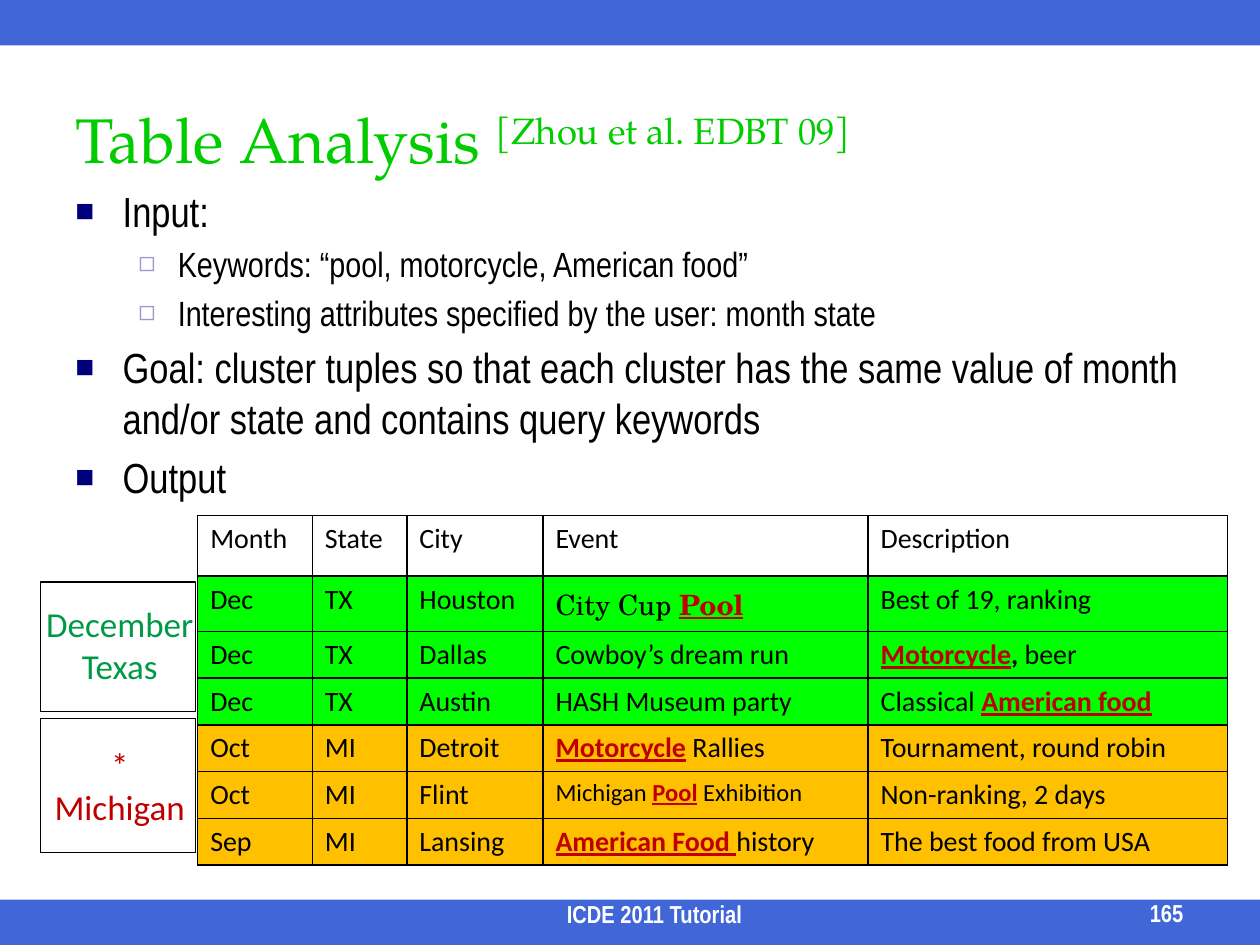
import pptx
import pptx.util
import pptx.dml.color
import pptx.enum.shapes
import pptx.enum.text
import pptx.oxml
import pptx.oxml.ns

Pt = pptx.util.Pt
ALIGN = pptx.enum.text.PP_ALIGN
ANCHOR = pptx.enum.text.MSO_ANCHOR
RECT = pptx.enum.shapes.MSO_SHAPE.RECTANGLE
qn = pptx.oxml.ns.qn
NS = pptx.oxml.ns.nsdecls("a")

# Content
HUES = {"bar": "0033CC", "title": "00CC00", "ink": "000000", "paper": "FFFFFF",
        "navy": "00007D", "lilac": "9999CC", "lime": "00FF00",
        "gold": "FFC000", "red": "C00000", "green": "009A46"}
KEY = {"hue": "red", "bold": True, "under": True}
SERIF = {"font": "TeX Gyre Schola"}
SMALL = {"size": 14}

TITLE = [("Table Analysis ", {}), ("[Zhou et al. EDBT 09]", {"rise": 30})]
POINTS = [
    (0, "Input:"),
    (1, "Keywords: “pool, motorcycle, American food”"),
    (1, "Interesting attributes specified by the user: month state"),
    (0, "Goal: cluster tuples so that each cluster has the same value of month "
        "and/or state and contains query keywords"),
    (0, "Output"),
]
# level: size, left margin, hanging indent, mark, mark colour, mark percent
LEVELS = [(24, 27, 27, "■", "navy", 75), (20, 58.5, 22.5, "◻", "lilac", 80)]

ROWS = [
    (None, ["Month", "State", "City", "Event", "Description"]),
    ("lime", ["Dec", "TX", "Houston",
              [("City Cup ", SERIF), ("Pool", {**SERIF, **KEY})],
              "Best of 19, ranking"]),
    ("lime", ["Dec", "TX", "Dallas", "Cowboy’s dream run",
              [("Motorcycle", KEY), (",", {"bold": True}), (" beer", {})]]),
    ("lime", ["Dec", "TX", "Austin", "HASH Museum party",
              [("Classical ", {}), ("American food", KEY)]]),
    ("gold", ["Oct", "MI", "Detroit",
              [("Motorcycle", KEY), (" ", {"bold": True}), ("Rallies", {})],
              "Tournament, round robin"]),
    ("gold", ["Oct", "MI", "Flint",
              [("Michigan ", SMALL), ("Pool", {**SMALL, **KEY}),
               (" Exhibition", SMALL)],
              "Non-ranking, 2 days"]),
    ("gold", ["Sep", "MI", "Lansing",
              [("American Food ", KEY), ("history", {})],
              "The best food from USA"]),
]
WIDTHS = [65.5, 54, 77.8, 185.8, 205.5]
HEIGHTS = [34.6, 31.7] + [26.7] * 5

# Frame top, frame height, text top, lines, colour
GROUPS = [
    (332.6, 74.2, 340.6, ["December Texas"], "green"),
    (410.4, 77, 421.2, ["*", "Michigan"], "red"),
]


def paint(hue):
    return pptx.dml.color.RGBColor.from_string(HUES[hue])


def write(para, text, **base):
    """Fill a paragraph from a string or a list of (text, format) runs."""
    runs = [(text, {})] if isinstance(text, str) else text
    para.alignment = base.get("align", ALIGN.LEFT)
    for words, extra in runs:
        look = {**base, **extra}
        run = para.add_run()
        run.text = words
        font = run.font
        font.name = look.get("font", "Calibri")
        font.size = Pt(look["size"])
        font.bold = look.get("bold", False)
        font.underline = look.get("under", False)
        font.color.rgb = paint(look.get("hue", "ink"))
        if "rise" in look:
            font._element.set("baseline", str(look["rise"] * 1000))


def bullet(para, left, hang, mark, hue, scale):
    props = para._p.get_or_add_pPr()
    props.set("marL", str(Pt(left)))
    props.set("indent", str(-Pt(hang)))
    for tag in (f'<a:buClr {NS}><a:srgbClr val="{HUES[hue]}"/></a:buClr>',
                f'<a:buSzPct {NS} val="{scale * 1000}"/>',
                f'<a:buFont {NS} typeface="Arial"/>',
                f'<a:buChar {NS} char="{mark}"/>'):
        props.append(pptx.oxml.parse_xml(tag))


def textbox(slide, box, lines, anchor=ANCHOR.TOP, **look):
    frame = slide.shapes.add_textbox(*map(Pt, box)).text_frame
    frame.word_wrap = True
    frame.vertical_anchor = anchor
    for i, line in enumerate(lines):
        para = frame.add_paragraph() if i else frame.paragraphs[0]
        write(para, line, **look)
    return frame


def rect(slide, box):
    shape = slide.shapes.add_shape(RECT, *map(Pt, box))
    shape.shadow.inherit = False
    return shape


def border(cell):
    props = cell._tc.get_or_add_tcPr()
    for i, side in enumerate(("lnL", "lnR", "lnT", "lnB")):
        props.insert(i, pptx.oxml.parse_xml(
            f'<a:{side} {NS} w="{Pt(1)}"><a:solidFill><a:srgbClr '
            f'val="{HUES["ink"]}"/></a:solidFill></a:{side}>'))


deck = pptx.Presentation()
deck.slide_width, deck.slide_height = Pt(720), Pt(540)
slide = deck.slides.add_slide(deck.slide_layouts[6])

# Top and bottom bars
for top in (514, 0):
    bar = rect(slide, (0, top, 720, 26))
    bar.line.fill.background()
    bar.fill.solid()
    bar.fill.fore_color.rgb = paint("bar")
    tint = bar._element.spPr.find(".//" + qn("a:srgbClr"))
    tint.append(pptx.oxml.parse_xml(f'<a:alpha {NS} val="75000"/>'))

# Title
textbox(slide, (36, 36, 648, 86.4), [TITLE], ANCHOR.MIDDLE,
        font="TeX Gyre Pagella", size=36, hue="title")

# Bulleted points
body = textbox(slide, (36, 102.2, 666, 356.4), [])
for i, (level, text) in enumerate(POINTS):
    para = body.add_paragraph() if i else body.paragraphs[0]
    size, *mark = LEVELS[level]
    para.level = level
    para.space_before = Pt(size * 0.2 if i else 0)
    bullet(para, *mark)
    write(para, text, font="Arial Narrow", size=size)

# Footer and page number
for box, text, align in (((167, 517, 414, 17.3), "ICDE 2011 Tutorial", ALIGN.CENTER),
                         ((592.6, 516.2, 90.7, 17.3), "165", ALIGN.RIGHT)):
    textbox(slide, box, [text], ANCHOR.BOTTOM, font="Arial Narrow", size=14,
            bold=True, hue="paper", align=align)

# Table of events
table = slide.shapes.add_table(len(ROWS), len(WIDTHS), Pt(113), Pt(294.6),
                               Pt(sum(WIDTHS)), Pt(sum(HEIGHTS))).table
table.first_row = table.horz_banding = False
for col, width in zip(table.columns, WIDTHS):
    col.width = Pt(width)
for r, (fill, texts) in enumerate(ROWS):
    table.rows[r].height = Pt(HEIGHTS[r])
    for c, text in enumerate(texts):
        cell = table.cell(r, c)
        if fill:
            cell.fill.solid()
            cell.fill.fore_color.rgb = paint(fill)
        else:
            cell.fill.background()
        border(cell)
        write(cell.text_frame.paragraphs[0], text, size=16)

# Cluster labels beside the table
for top, height, start, lines, hue in GROUPS:
    frame = rect(slide, (23, top, 88.6, height))
    frame.fill.background()
    frame.line.color.rgb = paint("ink")
    frame.line.width = Pt(0.75)
    textbox(slide, (11.5, start, 113.8, 55.4), lines, size=20, hue=hue,
            align=ALIGN.CENTER)

deck.save("out.pptx")
